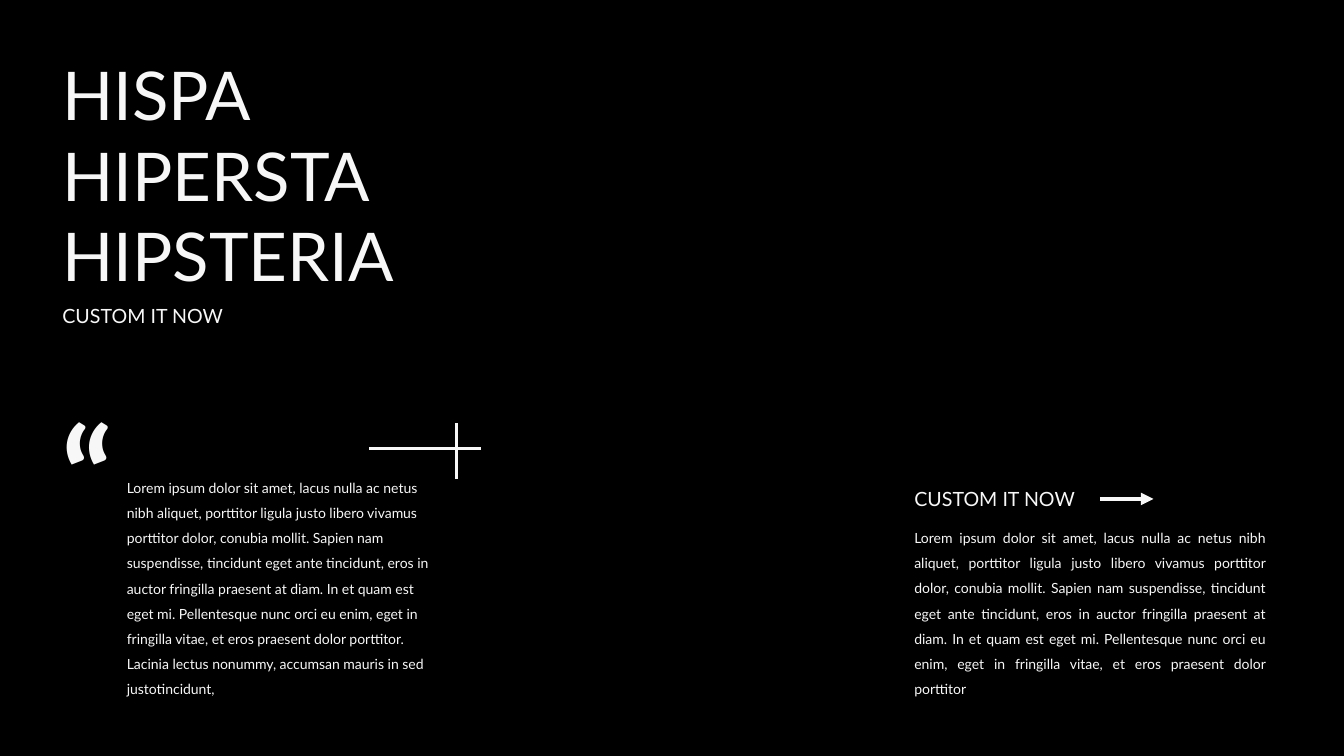
from dataclasses import dataclass, field
from typing import Any

from lxml.etree import SubElement
from pptx import Presentation
from pptx.dml.color import RGBColor
from pptx.enum.shapes import MSO_CONNECTOR
from pptx.enum.text import MSO_AUTO_SIZE, PP_ALIGN
from pptx.oxml.ns import qn
from pptx.util import Inches, Pt

BLACK = "000000"
OFF_WHITE = "F7F7F7"
FONT = "Lato"


@dataclass
class TextBlock:
    box: tuple[float, float, float, float]
    paragraphs: list[str]
    size: int
    wrap: bool = True
    grow: bool = True
    bold: bool = False
    paragraph_format: dict[str, Any] = field(default_factory=dict)


@dataclass
class Stroke:
    start: tuple[float, float]
    end: tuple[float, float]
    weight: int
    arrow: bool = False


def colour(value: str) -> RGBColor:
    return RGBColor.from_string(value)


def apply(target: Any, values: dict[str, Any]) -> None:
    for name, value in values.items():
        setattr(target, name, value)


def draw_text(shapes: Any, block: TextBlock) -> None:
    frame = shapes.add_textbox(*map(Inches, block.box)).text_frame
    apply(frame, {
        "word_wrap": block.wrap,
        "auto_size": MSO_AUTO_SIZE.SHAPE_TO_FIT_TEXT if block.grow else MSO_AUTO_SIZE.NONE,
    })
    for index, text in enumerate(block.paragraphs):
        paragraph = frame.add_paragraph() if index else frame.paragraphs[0]
        apply(paragraph, block.paragraph_format)
        run = paragraph.add_run()
        run.text = text
        apply(run.font, {"name": FONT, "size": Pt(block.size), "bold": block.bold})
        run.font.color.rgb = colour(OFF_WHITE)


def draw_stroke(shapes: Any, stroke: Stroke) -> None:
    connector = shapes.add_connector(
        MSO_CONNECTOR.STRAIGHT, *map(Inches, stroke.start + stroke.end))
    connector.line.width = Pt(stroke.weight)
    connector.line.color.rgb = colour(OFF_WHITE)
    if stroke.arrow:
        SubElement(connector.line._get_or_add_ln(), qn("a:tailEnd"), type="triangle")
    SubElement(connector._element.spPr, qn("a:effectLst"))


# Wording shared by the quote and the right column
LOREM = (
    "Lorem ipsum dolor sit amet, lacus nulla ac netus nibh aliquet, porttitor ligula "
    "justo libero vivamus porttitor dolor, conubia mollit. Sapien nam suspendisse, "
    "tincidunt eget ante tincidunt, eros in auctor fringilla praesent at diam. In et "
    "quam est eget mi. Pellentesque nunc orci eu enim, eget in fringilla vitae, et "
    "eros praesent dolor porttitor"
)
QUOTE = LOREM + ". Lacinia lectus nonummy, accumsan mauris in sed justotincidunt,"
SUBTITLE = ["CUSTOM IT NOW"]

TEXT_BLOCKS = [
    # Title and subtitle
    TextBlock((0.52, 0.48, 3.66, 2.52), ["HISPA", "HIPERSTA", "HIPSTERIA"], 48, wrap=False),
    TextBlock((0.52, 2.97, 1.85, 0.34), SUBTITLE, 14, wrap=False),
    # Quote with its mark
    TextBlock((1.16, 4.62, 3.23, 2.37), [QUOTE], 10,
              paragraph_format={"line_spacing": 1.5}),
    TextBlock((0.51, 3.85, 1.31, 1.52), ["\u201c"], 96, grow=False, bold=True,
              paragraph_format={"space_before": Pt(10)}),
    # Right column
    TextBlock((8.97, 5.12, 3.68, 1.87), [LOREM], 10,
              paragraph_format={"line_spacing": 1.5, "alignment": PP_ALIGN.JUSTIFY}),
    TextBlock((8.97, 4.78, 1.85, 0.34), SUBTITLE, 14, wrap=False),
]
CROSS = [
    Stroke((3.66, 4.45), (4.77, 4.45), 2),
    Stroke((4.53, 4.2), (4.53, 4.75), 2),
]
COLUMN_ARROW = Stroke((10.91, 4.95), (11.44, 4.95), 3, arrow=True)

# Slide with a black background
deck = Presentation()
apply(deck, {"slide_width": Inches(13.33), "slide_height": Inches(7.5)})
slide = deck.slides.add_slide(deck.slide_layouts[6])
slide.background.fill.solid()
slide.background.fill.fore_color.rgb = colour(BLACK)

for text_block in TEXT_BLOCKS:
    draw_text(slide.shapes, text_block)

# Cross beside the quote, then the arrow of the right column
cross = slide.shapes.add_group_shape()
for bar in CROSS:
    draw_stroke(cross.shapes, bar)
draw_stroke(slide.shapes, COLUMN_ARROW)

deck.save("out.pptx")
